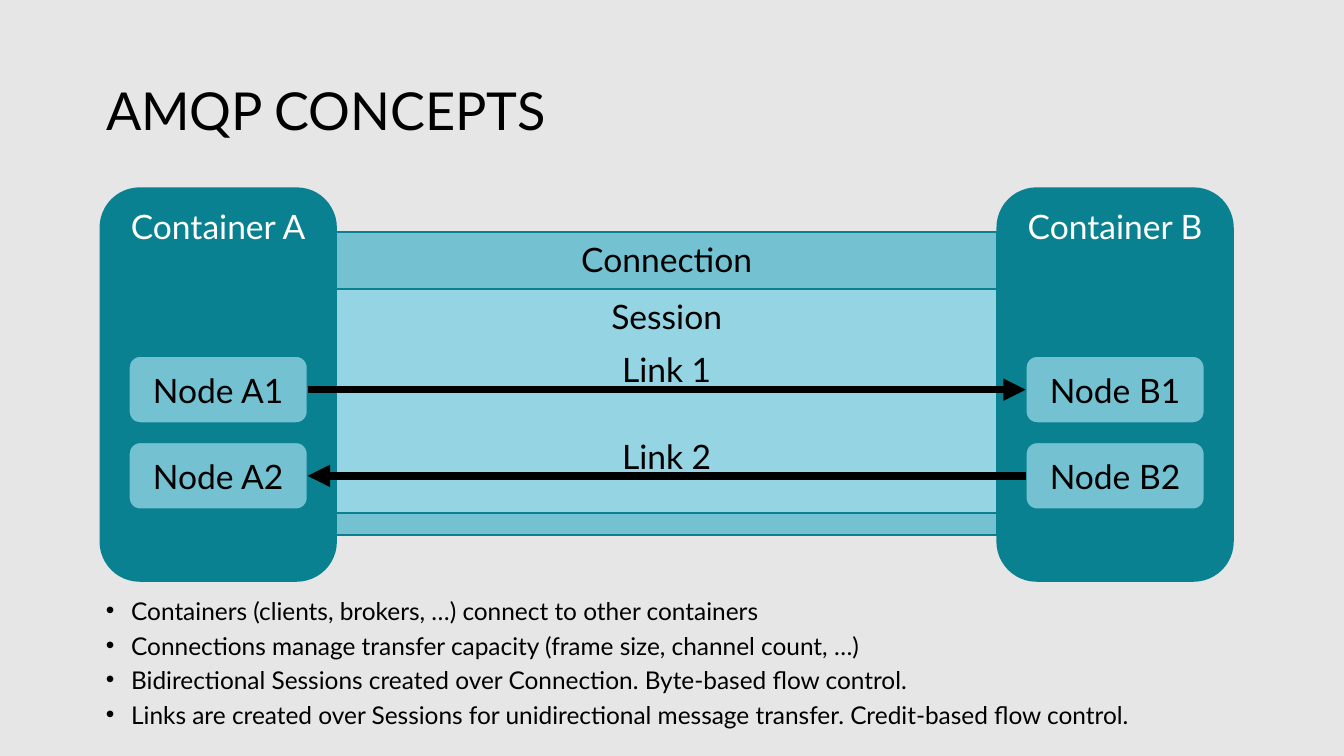
import pptx
import pptx.dml.color
import pptx.enum.shapes
import pptx.enum.text
import pptx.oxml
import pptx.oxml.ns
import pptx.util
from pptx.dml.color import RGBColor
from pptx.enum.shapes import MSO_CONNECTOR, MSO_SHAPE
from pptx.enum.text import MSO_ANCHOR, PP_ALIGN
from pptx.util import Cm

BACKGROUND = RGBColor(0xE7, 0xE6, 0xE6)
DARK_TEAL = RGBColor(0x09, 0x81, 0x90)
TEAL = RGBColor(0x74, 0xC1, 0xD1)
LIGHT_TEAL = RGBColor(0x94, 0xD4, 0xE3)
BLACK = RGBColor(0, 0, 0)
WHITE = RGBColor(0xFF, 0xFF, 0xFF)

CONTAINER_TOP, CONTAINER_WIDTH, CONTAINER_HEIGHT = 3.56, 4.45, 7.42
CONTAINER_LEFTS = {"A": 1.9, "B": 18.85}
CHANNEL_LEFT = CONTAINER_LEFTS["A"] + CONTAINER_WIDTH
CHANNEL_WIDTH = CONTAINER_LEFTS["B"] - CHANNEL_LEFT
NODE_WIDTH, NODE_HEIGHT = 3.38, 1.27
NODE_INSET = (CONTAINER_WIDTH - NODE_WIDTH) / 2
NODE_TOPS = {1: 6.73, 2: 8.36}
LABEL_WIDTH, LABEL_HEIGHT, LABEL_RISE = 2.97, 1.02, 0.25
BULLETS = [
    "Containers (clients, brokers, …) connect to other containers",
    "Connections manage transfer capacity (frame size, channel count, …)",
    "Bidirectional Sessions created over Connection. Byte-based flow control.",
    "Links are created over Sessions for unidirectional message transfer. Credit-based flow control.",
]


class SlideBuilder:
    font_name = "Lato"
    text_size = 18

    def __init__(self, slide):
        self.slide = slide
        slide.background.fill.solid()
        slide.background.fill.fore_color.rgb = BACKGROUND

    def style(self, paragraph, size=text_size, color=BLACK, align=PP_ALIGN.CENTER):
        paragraph.alignment = align
        paragraph.font.name = self.font_name
        paragraph.font.size = pptx.util.Pt(size)
        paragraph.font.color.rgb = color

    def title(self, text, left, top, width, height):
        shape = self.slide.shapes.title
        shape.left, shape.top, shape.width, shape.height = map(Cm, (left, top, width, height))
        shape.text_frame.text = text
        shape.text_frame.vertical_anchor = MSO_ANCHOR.MIDDLE
        paragraph = shape.text_frame.paragraphs[0]
        paragraph.line_spacing = 0.9
        self.style(paragraph, 28, align=PP_ALIGN.LEFT)

    def box(self, kind, text, left, top, width, height, fill, color=BLACK, anchor=MSO_ANCHOR.TOP):
        shape = self.slide.shapes.add_shape(kind, Cm(left), Cm(top), Cm(width), Cm(height))
        shape.shadow.inherit = False
        shape.fill.solid()
        shape.fill.fore_color.rgb = fill
        shape.line.color.rgb = DARK_TEAL
        shape.line.width = pptx.util.Pt(1)
        shape.text_frame.text = text
        shape.text_frame.vertical_anchor = anchor
        self.style(shape.text_frame.paragraphs[0], color=color)
        return shape

    def label(self, text, left, top, width, height):
        shape = self.slide.shapes.add_textbox(Cm(left), Cm(top), Cm(width), Cm(height))
        shape.text_frame.word_wrap = True
        shape.text_frame.text = text
        self.style(shape.text_frame.paragraphs[0])

    def arrow(self, source, source_side, target, target_side):
        connector = self.slide.shapes.add_connector(MSO_CONNECTOR.STRAIGHT, 0, 0, 0, 0)
        connector.begin_connect(source, source_side)
        connector.end_connect(target, target_side)
        connector.line.color.rgb = BLACK
        connector.line.width = pptx.util.Pt(4)
        properties = connector.line._get_or_add_ln()
        pptx.oxml.ns.qn("a:tailEnd")
        head = properties.makeelement(pptx.oxml.ns.qn("a:tailEnd"), {"type": "triangle"})
        properties.append(head)
        effects = connector._element.spPr
        effects.append(effects.makeelement(pptx.oxml.ns.qn("a:effectLst"), {}))

    def bullets(self, lines, left, top, width, height):
        shape = self.slide.shapes.add_textbox(Cm(left), Cm(top), Cm(width), Cm(height))
        frame = shape.text_frame
        frame.word_wrap = True
        frame.text = "\n".join(lines)
        for index, paragraph in enumerate(frame.paragraphs):
            properties = paragraph._p.get_or_add_pPr()
            properties.set("marL", str(Cm(0.48)))
            properties.set("indent", str(Cm(-0.48)))
            for tag, attributes in (("a:buFont", {"typeface": "Arial"}), ("a:buChar", {"char": "•"})):
                properties.append(properties.makeelement(pptx.oxml.ns.qn(tag), attributes))
            paragraph.line_spacing = 0.7
            paragraph.space_before = pptx.util.Pt(7.5 if index else 0)
            self.style(paragraph, 13.1, align=PP_ALIGN.LEFT)


def main():
    presentation = pptx.Presentation()
    presentation.slide_width, presentation.slide_height = Cm(25.4), Cm(14.29)
    builder = SlideBuilder(presentation.slides.add_slide(presentation.slide_layouts[5]))
    builder.title("AMQP CONCEPTS", 1.75, 0.76, 21.9, 2.77)

    for name, left in CONTAINER_LEFTS.items():
        builder.box(MSO_SHAPE.ROUNDED_RECTANGLE, f"Container {name}", left, CONTAINER_TOP,
                    CONTAINER_WIDTH, CONTAINER_HEIGHT, DARK_TEAL, WHITE)
    for name, top, height, fill in (("Connection", 4.39, 5.72, TEAL), ("Session", 5.46, 4.24, LIGHT_TEAL)):
        builder.box(MSO_SHAPE.RECTANGLE, name, CHANNEL_LEFT, top, CHANNEL_WIDTH, height, fill)

    nodes = {}
    for name, left in CONTAINER_LEFTS.items():
        for number, top in NODE_TOPS.items():
            nodes[name, number] = builder.box(
                MSO_SHAPE.ROUNDED_RECTANGLE, f"Node {name}{number}", left + NODE_INSET, top,
                NODE_WIDTH, NODE_HEIGHT, TEAL, anchor=MSO_ANCHOR.MIDDLE)

    builder.arrow(nodes["A", 1], 3, nodes["B", 1], 1)
    builder.arrow(nodes["B", 2], 1, nodes["A", 2], 3)
    label_left = CHANNEL_LEFT + (CHANNEL_WIDTH - LABEL_WIDTH) / 2
    for number, top in NODE_TOPS.items():
        builder.label(f"Link {number}", label_left, top - LABEL_RISE, LABEL_WIDTH, LABEL_HEIGHT)

    builder.bullets(BULLETS, 1.75, 11.3, 21.9, 2.82)
    presentation.save("out.pptx")


if __name__ == "__main__":
    main()
